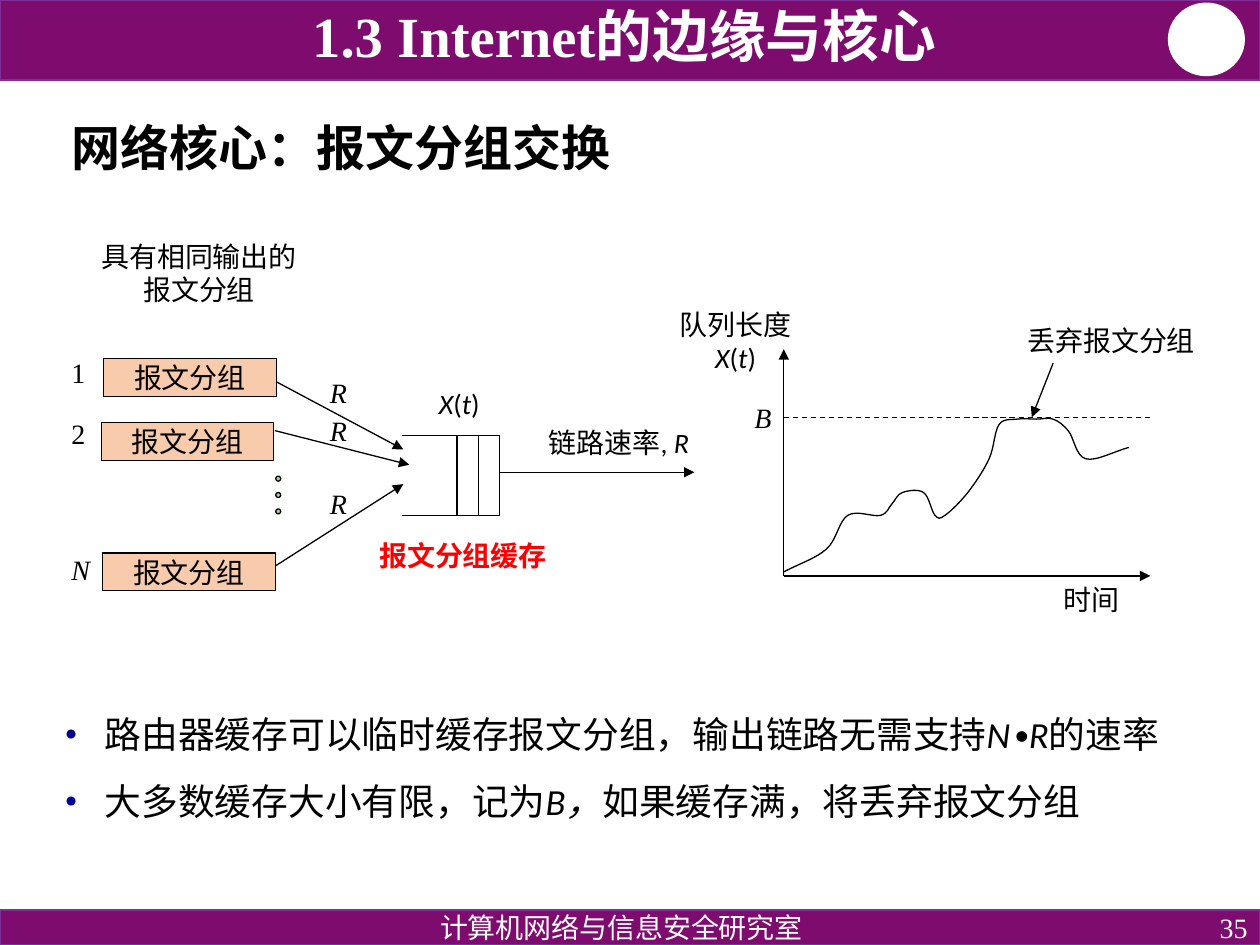
from dataclasses import dataclass

from lxml.etree import SubElement
from pptx import Presentation
from pptx.dml.color import RGBColor
from pptx.enum.dml import MSO_LINE
from pptx.enum.shapes import MSO_CONNECTOR, MSO_SHAPE
from pptx.enum.text import MSO_ANCHOR as Anchor, PP_ALIGN as Align
from pptx.oxml.ns import qn
from pptx.util import Cm, Pt


@dataclass(frozen=True)
class Theme:
    band: str = "7E0C6E"
    band_edge: str = "7F2F95"
    white: str = "FFFFFF"
    ink: str = "000000"
    alert: str = "FF0000"
    bullet: str = "000099"
    packet: str = "F8CBAD"
    dot: str = "A9D18E"
    serif: str = "Times New Roman"
    sans: str = "Calibri"
    header_size: float = 32.4
    title_size: float = 28
    body_size: float = 21
    label_size: float = 16
    thin: float = 0.75


THEME = Theme()
X_OF_T = [("X", True), ("(", False), ("t", True), (")", False)]


def rgb(code):
    return RGBColor.from_string(code)


def write(paragraph, runs, size=THEME.label_size, font=THEME.sans, color=THEME.ink, bold=False):
    """Add runs given as (text, italic) pairs."""
    for text, italic in runs:
        run = paragraph.add_run()
        run.text = text
        run.font.size, run.font.name = Pt(size), font
        run.font.bold, run.font.italic = bold, italic
        run.font.color.rgb = rgb(color)


def add_text(slide, box, *lines, align=Align.LEFT, anchor=Anchor.TOP, wrap=True,
             spacing=None, **style):
    """Add a text box; each line is a string or a list of (text, italic) pairs."""
    frame = slide.shapes.add_textbox(*map(Cm, box)).text_frame
    frame.word_wrap, frame.vertical_anchor = wrap, anchor
    for index, line in enumerate(lines):
        paragraph = frame.add_paragraph() if index else frame.paragraphs[0]
        paragraph.alignment = align
        if spacing:
            paragraph.line_spacing = spacing
        write(paragraph, [(line, False)] if isinstance(line, str) else line, **style)
    return frame


def add_filled(slide, kind, box, fill, edge=THEME.ink, width=THEME.thin):
    shape = slide.shapes.add_shape(kind, *map(Cm, box))
    shape.shadow.inherit = False
    shape.fill.solid()
    shape.fill.fore_color.rgb = rgb(fill)
    shape.line.color.rgb, shape.line.width = rgb(edge), Pt(width)
    return shape


def add_line(slide, start, end, arrow=False, dashed=False):
    line = slide.shapes.add_connector(MSO_CONNECTOR.STRAIGHT, *map(Cm, (*start, *end)))
    line.line.color.rgb, line.line.width = rgb(THEME.ink), Pt(THEME.thin)
    if dashed:
        line.line.dash_style = MSO_LINE.DASH
    if arrow:
        SubElement(line.line._get_or_add_ln(), qn("a:tailEnd"), type="triangle")
    SubElement(line._element.spPr, qn("a:effectLst"))


def add_packet(slide, left, top):
    frame = add_filled(slide, MSO_SHAPE.RECTANGLE, (left, top, 3.48, 0.76), THEME.packet).text_frame
    frame.word_wrap, frame.vertical_anchor = False, Anchor.MIDDLE
    frame.paragraphs[0].alignment = Align.CENTER
    write(frame.paragraphs[0], [("报文分组", False)])


def smooth(curve):
    """Turn the straight segments of a freeform into Catmull-Rom cubic curves."""
    outline = curve._element.spPr.find(f".//{qn('a:path')}")
    knots = [(int(pt.get("x")), int(pt.get("y"))) for pt in outline.iter(qn("a:pt"))]
    for segment in outline.findall(qn("a:lnTo")):
        outline.remove(segment)

    def mirrored(point, neighbour):
        return tuple(2 * p - n for p, n in zip(point, neighbour))

    padded = [mirrored(knots[0], knots[1]), *knots, mirrored(knots[-1], knots[-2])]
    for before, start, end, after in zip(padded, padded[1:], padded[2:], padded[3:]):
        leaving = [s + (e - b) / 6 for b, s, e in zip(before, start, end)]
        arriving = [e - (a - s) / 6 for s, e, a in zip(start, end, after)]
        bend = SubElement(outline, qn("a:cubicBezTo"))
        for x, y in (leaving, arriving, end):
            SubElement(bend, qn("a:pt"), x=str(round(x)), y=str(round(y)))


def add_curve(slide, knots):
    first, *rest = [(Cm(x), Cm(y)) for x, y in knots]
    builder = slide.shapes.build_freeform(*first)
    builder.add_line_segments(rest, close=False)
    curve = builder.convert_to_shape()
    smooth(curve)
    curve.shadow.inherit = False
    curve.fill.background()
    curve.line.color.rgb, curve.line.width = rgb(THEME.ink), Pt(THEME.thin)


def add_bands(slide):
    for top, height in ((0, 1.61), (18.34, 0.71)):
        add_filled(slide, MSO_SHAPE.RECTANGLE, (0, top, 25.4, height),
                   THEME.band, THEME.band_edge, 1)
    add_filled(slide, MSO_SHAPE.OVAL, (23.56, 0.07, 1.52, 1.45), THEME.white, THEME.white, 1)
    on_band = dict(font=THEME.serif, color=THEME.white)
    add_text(slide, (1.71, 0.09, 21.74, 1.42), "1.3 Internet的边缘与核心", align=Align.CENTER,
             anchor=Anchor.BOTTOM, spacing=0.8, size=THEME.header_size, bold=True, **on_band)
    add_text(slide, (6.84, 18.3, 11.38, 0.71), "计算机网络与信息安全研究室",
             align=Align.CENTER, spacing=0.9, **on_band)
    add_text(slide, (19.69, 18.34, 5.71, 0.71), "35", align=Align.RIGHT,
             anchor=Anchor.MIDDLE, **on_band)


def add_sources(slide):
    add_text(slide, (1.69, 4.7, 4.65, 1.63), "具有相同输出的报文分组", align=Align.CENTER)
    sources = [  # number, number top, packet corner, rate top, arrow start, arrow end
        ([("1", False)], 7.04, (2.09, 7.23), 7.45, (5.54, 7.68), (8.13, 9.06)),
        ([("2", False)], 8.28, (2.04, 8.52), 8.22, (5.54, 8.68), (8.25, 9.37)),
        ([("N", True)], 11.02, (2.07, 11.15), 9.68, (5.44, 11.48), (8.13, 9.76)),
    ]
    for number, number_top, corner, rate_top, start, end in sources:
        add_line(slide, start, end, arrow=True)
        add_packet(slide, *corner)
        for runs, left, top in ((number, 1.19, number_top), ([("R", True)], 6.4, rate_top)):
            add_text(slide, (left, top, 0.86, 0.94), runs, wrap=False, font=THEME.serif)
    for index in range(3):
        add_filled(slide, MSO_SHAPE.OVAL, (5.56, 9.6 + 0.33 * index, 0.1, 0.1), THEME.dot)


def add_buffer(slide):
    left, right, top, bottom = 8.11, 10.07, 8.78, 10.39
    for y in (top, bottom):
        add_line(slide, (left, y), (right, y))
    for slot in range(3):
        x = right - 0.43 * slot
        add_line(slide, (x, top), (x, bottom))
    add_line(slide, (10.08, 9.52), (14, 9.52), arrow=True)
    add_text(slide, (8.57, 7.67, 1.35, 0.94), X_OF_T, align=Align.RIGHT, wrap=False)
    add_text(slide, (10.76, 8.46, 3.38, 0.94), [("链路速率, ", False), ("R", True)],
             align=Align.RIGHT)
    add_text(slide, (7.05, 10.73, 4.57, 0.94), "报文分组缓存", align=Align.CENTER,
             color=THEME.alert, bold=True)


def add_queue_plot(slide):
    origin_x, origin_y, end_x, limit_y = 15.8, 11.61, 23.19, 8.41
    add_line(slide, (origin_x, origin_y), (origin_x, 7.04), arrow=True)
    add_line(slide, (origin_x, origin_y), (end_x, origin_y), arrow=True)
    add_line(slide, (origin_x, limit_y), (end_x, limit_y), dashed=True)
    add_curve(slide, [
        (origin_x, 11.53), (16.66, 11.07), (17.09, 10.39), (17.75, 10.39), (17.98, 10.16),
        (18.19, 9.93), (18.62, 9.93), (18.85, 10.39), (19.05, 10.39), (19.51, 9.93),
        (19.94, 9.25), (20.14, 8.56), (20.5, 8.45), (20.9, 8.45), (21.23, 8.45),
        (21.54, 8.69), (21.89, 9.25), (22.76, 9.02)])
    add_line(slide, (21.23, 7.32), (20.8, limit_y), arrow=True)
    add_text(slide, (19.06, 6.4, 5.28, 0.94), "丢弃报文分组", align=Align.RIGHT)
    add_text(slide, (14.94, 7.95, 0.86, 0.94), [("B", True)], align=Align.RIGHT,
             wrap=False, font=THEME.serif)
    add_text(slide, (12.71, 6.07, 4.24, 1.63), "队列长度", X_OF_T, align=Align.CENTER)
    add_text(slide, (20.51, 11.61, 2.31, 0.94), "时间", align=Align.RIGHT)


def add_bullets(slide, box, *lines):
    frame = add_text(slide, box, *lines, spacing=Pt(32), size=THEME.body_size)
    for index, paragraph in enumerate(frame.paragraphs):
        if index:
            paragraph.space_before = Pt(6)
        properties = paragraph._p.get_or_add_pPr()
        properties.set("marL", str(Cm(0.79)))
        properties.set("indent", str(-Cm(0.79)))
        color = SubElement(properties, qn("a:buClr"))
        SubElement(color, qn("a:srgbClr"), val=THEME.bullet)
        SubElement(properties, qn("a:buSzPct"), val="90000")
        SubElement(properties, qn("a:buFont"), typeface="Arial")
        SubElement(properties, qn("a:buChar"), char="•")


def main():
    deck = Presentation()
    deck.slide_width, deck.slide_height = Cm(25.4), Cm(19.05)
    slide = deck.slides.add_slide(deck.slide_layouts[6])
    add_bands(slide)
    add_text(slide, (1.2, 1.85, 22.78, 2.36), "网络核心：报文分组交换", anchor=Anchor.MIDDLE,
             spacing=0.9, size=THEME.title_size, font=THEME.serif, bold=True)
    add_sources(slide)
    add_buffer(slide)
    add_queue_plot(slide)
    add_bullets(
        slide, (1.07, 13.99, 23.16, 2.77),
        [("路由器缓存可以临时缓存报文分组，输出链路无需支持", False), ("N∙R", True),
         ("的速率", False)],
        [("大多数缓存大小有限，记为", False), ("B，", True),
         ("如果缓存满，将丢弃报文分组", False)])
    deck.save("out.pptx")


if __name__ == "__main__":
    main()
